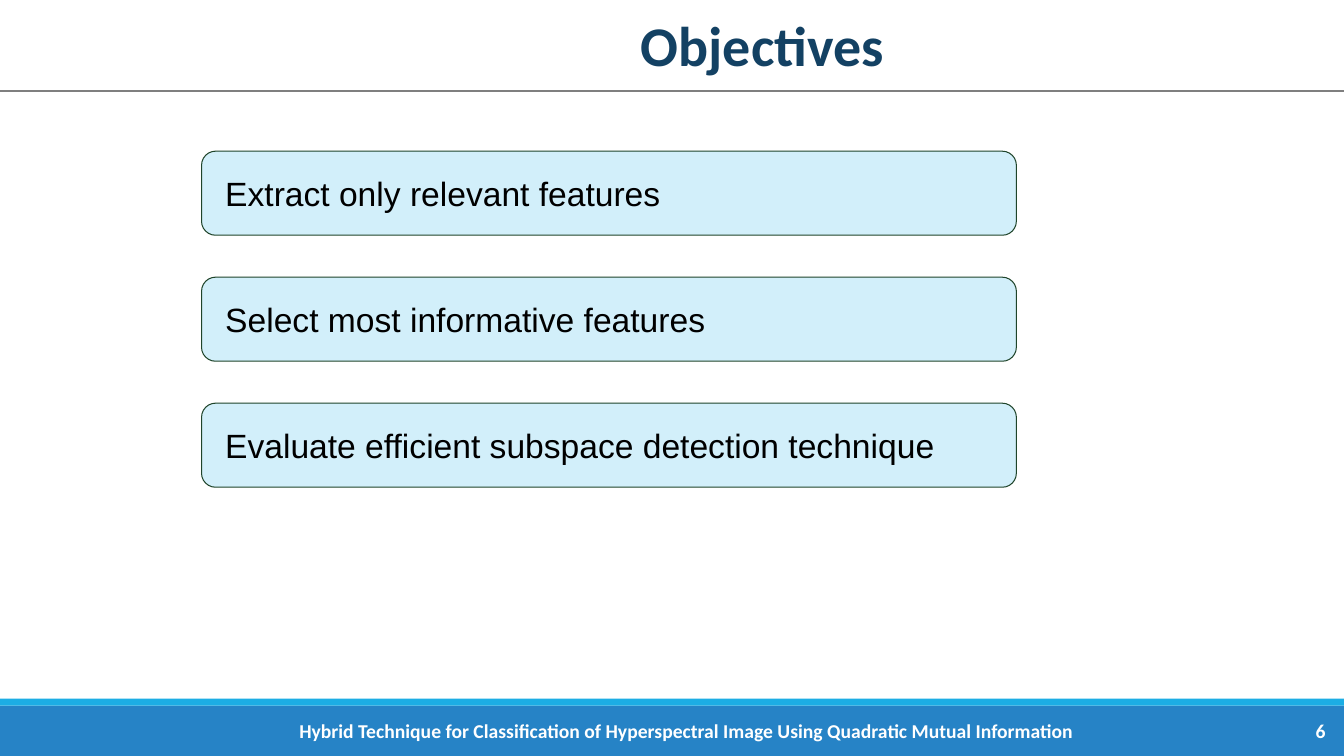
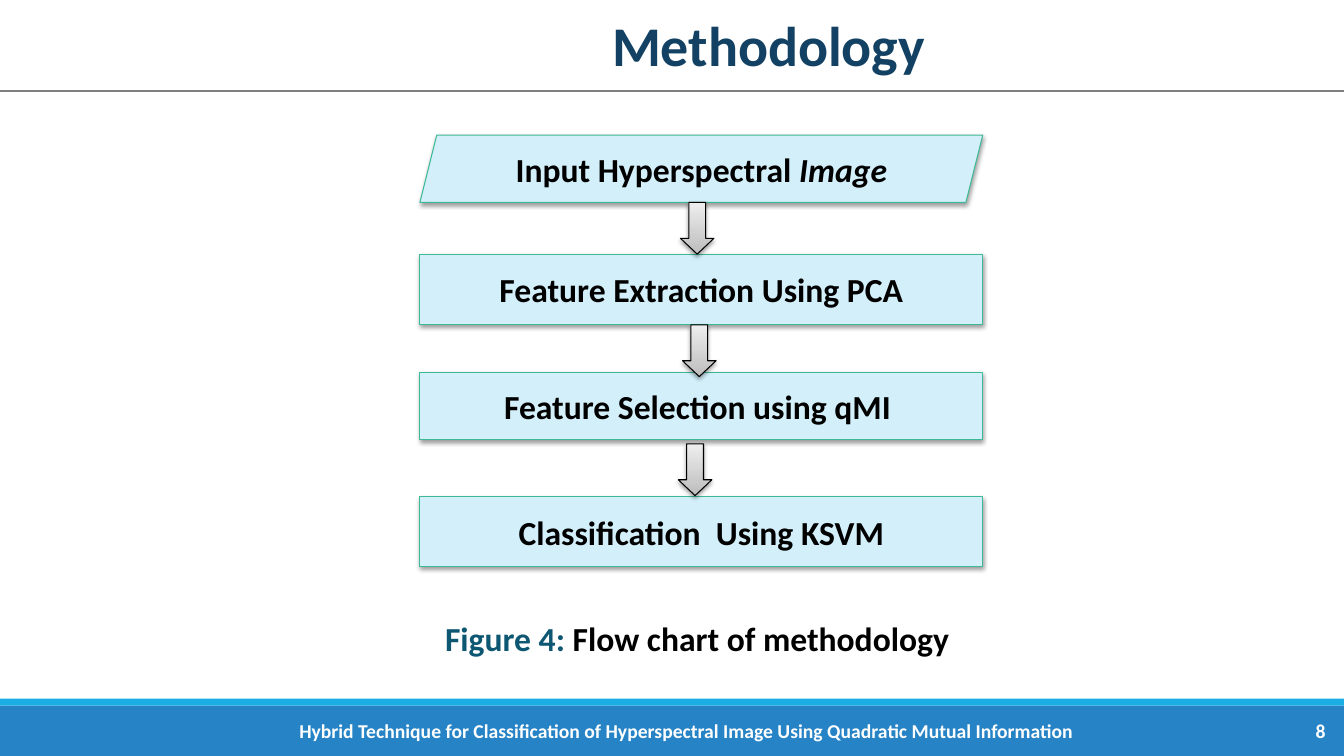
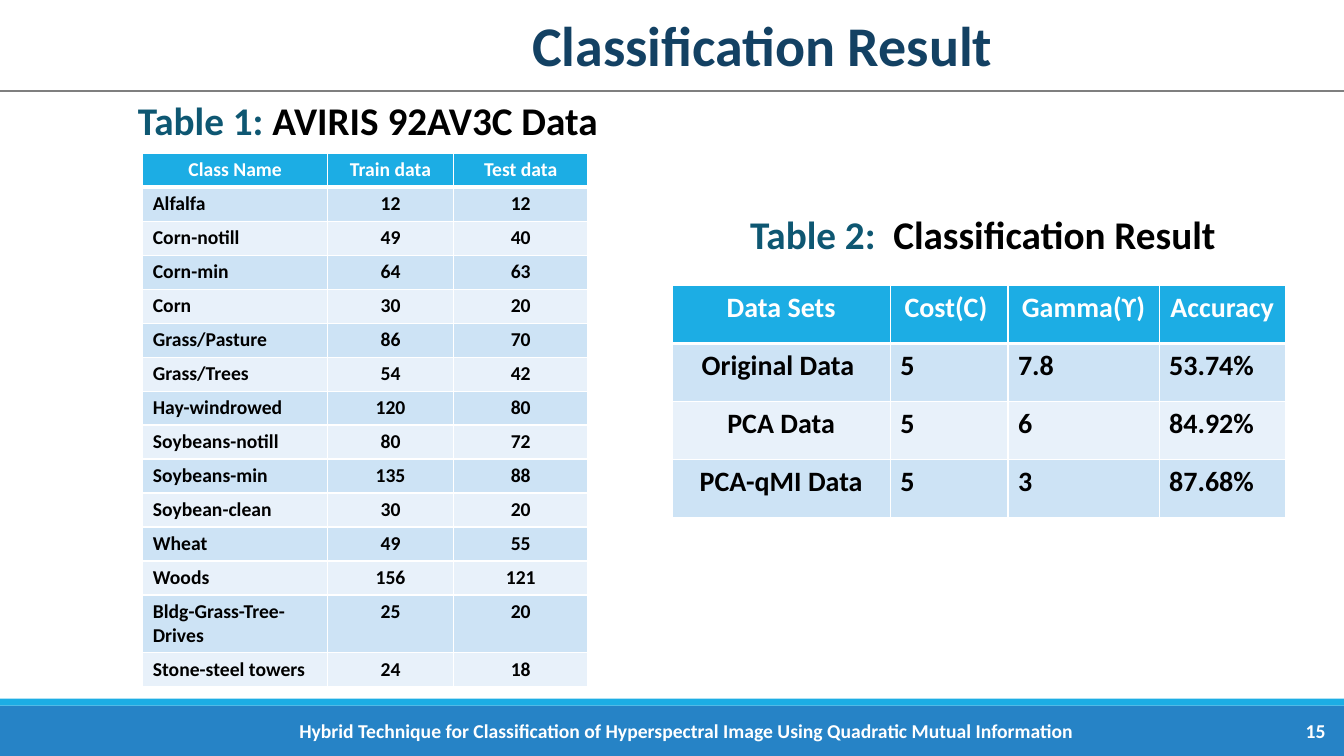
import pptx
import pptx.dml.color
import pptx.enum.dml
import pptx.enum.shapes
import pptx.enum.text
import pptx.oxml
import pptx.oxml.ns
import pptx.util
from lxml import etree

Pt = pptx.util.Pt
SHAPE = pptx.enum.shapes.MSO_SHAPE
ALIGN = pptx.enum.text.PP_ALIGN
ANCHOR = pptx.enum.text.MSO_ANCHOR
WIDTH, HEIGHT = 960, 540

WHITE, BLACK, GREY = "FFFFFF", "000000", "7F7F7F"
NAVY, TEAL = "134163", "0E5772"
BLUE, SKY, PALE = "2683C6", "1CADE4", "D2EFFA"
DARK_GREEN, GREEN = "1F442A", "3EB995"
BANDS = ("E8F1FA", "CDE3F5")
FOOTER = "Hybrid Technique for Classification of Hyperspectral Image Using Quadratic Mutual Information "


def rgb(color):
    """Turn a hex string into a colour."""
    return pptx.dml.color.RGBColor.from_string(color)


def write(tf, text, size=24, color=BLACK, bold=True, italic=False, font="Calibri",
          align=ALIGN.CENTER, anchor=ANCHOR.TOP, spacing=None):
    """Fill a text frame with one paragraph, given as a string or as (text, format) runs."""
    tf.word_wrap = True
    tf.auto_size = pptx.enum.text.MSO_AUTO_SIZE.NONE
    tf.vertical_anchor = anchor
    p = tf.paragraphs[0]
    p.alignment = align
    p.line_spacing = spacing
    runs = [(text, {})] if isinstance(text, str) else text
    for words, changes in runs:
        r = p.add_run()
        r.text = words
        r.font.name = font
        r.font.size = Pt(size)
        r.font.bold = bold
        r.font.italic = changes.get("italic", italic)
        r.font.color.rgb = rgb(changes.get("color", color))


def set_borders(cell, top=1, bottom=1):
    """Give a table cell white borders."""
    tcPr = cell._tc.get_or_add_tcPr()
    for side, width in (("L", 1), ("R", 1), ("T", top), ("B", bottom)):
        tcPr.append(pptx.oxml.parse_xml(
            f'<a:ln{side} {pptx.oxml.ns.nsdecls("a")} w="{Pt(width)}"><a:solidFill>'
            f'<a:srgbClr val="{WHITE}"/></a:solidFill></a:ln{side}>'))


class Deck:
    """Hold the shared style and the current slide."""

    def __init__(self):
        """Start an empty widescreen presentation."""
        self.prs = pptx.Presentation()
        self.prs.slide_width, self.prs.slide_height = Pt(WIDTH), Pt(HEIGHT)
        self.s = None

    def slide(self, title, number):
        """Add a slide with its bands, rule, title and footer."""
        self.s = self.prs.slides.add_slide(self.prs.slide_layouts[5])
        self.shape(SHAPE.RECTANGLE, 0, 504, WIDTH, 36, fill=BLUE)
        self.shape(SHAPE.RECTANGLE, 0, 499, WIDTH, 5, fill=SKY)
        self.rule(65)
        sp = self.s.shapes.title
        sp.left, sp.top, sp.width, sp.height = Pt(211), Pt(7), Pt(667), Pt(52)
        write(sp.text_frame, title, size=40, color=NAVY, anchor=ANCHOR.BOTTOM, spacing=0.85)
        footer = dict(size=14, color=WHITE, anchor=ANCHOR.MIDDLE)
        self.text(FOOTER, 162, 504, 660, 36, **footer)
        self.text(str(number), 888, 504, 66, 36, align=ALIGN.RIGHT, **footer)

    def rule(self, y):
        """Draw a thin line across the slide."""
        sp = self.s.shapes.add_connector(
            pptx.enum.shapes.MSO_CONNECTOR.STRAIGHT, 0, Pt(y), Pt(WIDTH), Pt(y))
        sp.line.color.rgb = rgb(GREY)
        sp.line.width = Pt(0.75)
        etree.SubElement(sp._element.spPr, pptx.oxml.ns.qn("a:effectLst"))

    def shape(self, kind, x, y, w, h, fill=None, line=None, shadow=False):
        """Add a preset shape."""
        sp = self.s.shapes.add_shape(kind, Pt(x), Pt(y), Pt(w), Pt(h))
        sp.shadow.inherit = False
        if fill:
            sp.fill.solid()
            sp.fill.fore_color.rgb = rgb(fill)
        if line:
            sp.line.color.rgb = rgb(line)
            sp.line.width = Pt(0.75)
        else:
            sp.line.fill.background()
        if shadow:
            effects = sp._element.spPr.find(pptx.oxml.ns.qn("a:effectLst"))
            effects.append(pptx.oxml.parse_xml(
                f'<a:outerShdw {pptx.oxml.ns.nsdecls("a")} blurRad="{Pt(3.1)}" dist="{Pt(1.6)}" '
                f'dir="5400000" rotWithShape="0"><a:srgbClr val="{BLACK}">'
                '<a:alpha val="38000"/></a:srgbClr></a:outerShdw>'))
        return sp

    def text(self, text, x, y, w, h, **style):
        """Add a text box."""
        sp = self.s.shapes.add_textbox(Pt(x), Pt(y), Pt(w), Pt(h))
        write(sp.text_frame, text, **style)

    def caption(self, label, words, x, y, w, h, **style):
        """Add a caption with a coloured label."""
        self.text([(label, {"color": TEAL}), (words, {})], x, y, w, h, **style)

    def objective(self, text, y):
        """Add a rounded box with an objective."""
        sp = self.shape(SHAPE.ROUNDED_RECTANGLE, 144, y, 582, 60, PALE, DARK_GREEN)
        sp.text_frame.margin_left = Pt(14)
        write(sp.text_frame, text, bold=False, font="Arial",
              align=ALIGN.LEFT, anchor=ANCHOR.MIDDLE)

    def step(self, text, y, h, kind=SHAPE.RECTANGLE):
        """Add a step of the flow chart."""
        sp = self.shape(kind, 300, y, 402, h, PALE, GREEN, shadow=True)
        write(sp.text_frame, text, anchor=ANCHOR.MIDDLE)

    def arrow(self, x, y):
        """Add a shaded block arrow pointing down."""
        sp = self.shape(SHAPE.DOWN_ARROW, x, y, 24, 37, line=BLACK, shadow=True)
        sp.adjustments[1] = 0.47
        sp.fill.gradient()
        sp.fill.gradient_angle = 90
        for stop, color in zip(sp.fill.gradient_stops, ("BDBDBD", "EEEEEE")):
            stop.color.rgb = rgb(color)

    def table(self, rows, x, y, widths, row_height, size, aligns):
        """Add a banded table whose first row is the header."""
        table = self.s.shapes.add_table(
            len(rows), len(widths), Pt(x), Pt(y), Pt(sum(widths)), Pt(row_height * len(rows))).table
        for column, width in zip(table.columns, widths):
            column.width = Pt(width)
        for i, values in enumerate(rows):
            table.rows[i].height = Pt(row_height)
            for j, value in enumerate(values):
                cell = table.cell(i, j)
                set_borders(cell, top=3 if i == 1 else 1, bottom=3 if i == 0 else 1)
                cell.fill.solid()
                cell.fill.fore_color.rgb = rgb(BANDS[i % 2] if i else SKY)
                write(cell.text_frame, value, size=size, color=BLACK if i else WHITE,
                      align=aligns[j] if i else ALIGN.CENTER)


def objectives(deck):
    """Build the objectives slide."""
    deck.slide("Objectives", 6)
    for i, text in enumerate(("Extract only relevant features",
                              "Select most informative features",
                              "Evaluate efficient subspace detection technique")):
        deck.objective(text, 108 + 90 * i)


def methodology(deck):
    """Build the flow chart slide."""
    deck.slide(" Methodology", 8)
    deck.step([("Input Hyperspectral ", {}), ("Image", {"italic": True})],
              96.5, 48, SHAPE.PARALLELOGRAM)
    for text, y, h in (("Feature Extraction Using PCA", 181.5, 50),
                       ("Feature Selection using qMI ", 266, 48),
                       ("Classification  Using KSVM", 355, 49.5)):
        deck.step(text, y, h)
    for x, y in ((486, 144.5), (487.5, 232), (484.5, 317)):
        deck.arrow(x, y)
    deck.caption("Figure 4: ", "Flow chart of methodology", 264, 438, 468, 42)


def results(deck):
    """Build the slide with the data and result tables."""
    deck.slide("Classification Result", 15)
    deck.caption("Table 1: ", "AVIRIS 92AV3C Data", 91.5, 65, 352, 43,
                 size=28, align=ALIGN.LEFT)
    samples = (
        ("Class Name", "Train data", "Test data"),
        ("Alfalfa", "12", "12"),
        ("Corn-notill", "49", "40"),
        ("Corn-min", "64", "63"),
        ("Corn", "30", "20"),
        ("Grass/Pasture", "86", "70"),
        ("Grass/Trees", "54", "42"),
        ("Hay-windrowed", "120", "80"),
        ("Soybeans-notill", "80", "72"),
        ("Soybeans-min", "135", "88"),
        ("Soybean-clean", "30", "20"),
        ("Wheat", "49", "55"),
        ("Woods", "156", "121"),
        ("Bldg-Grass-Tree-Drives", "25", "20"),
        ("Stone-steel towers", "24", "18"),
    )
    deck.table(samples, 102, 109.5, (132, 90, 96), 23, 14,
               (ALIGN.LEFT, ALIGN.CENTER, ALIGN.CENTER))
    accuracy = (
        ("Data Sets", "Cost(C) ", "Gamma(ϒ)", "Accuracy "),
        ("Original Data ", "5", "7.8", "53.74%"),
        ("PCA Data", "5", "6", "84.92%"),
        ("PCA-qMI Data", "5", "3", "87.68%"),
    )
    deck.table(accuracy, 480, 204, (156, 84, 108, 90), 41.4, 20,
               (ALIGN.CENTER, ALIGN.LEFT, ALIGN.LEFT, ALIGN.LEFT))
    deck.caption("Table 2:  ", "Classification Result", 483, 147, 438, 45, size=28)


def main():
    """Build and save the presentation."""
    deck = Deck()
    for build in (objectives, methodology, results):
        build(deck)
    deck.prs.save("out.pptx")


if __name__ == "__main__":
    main()
